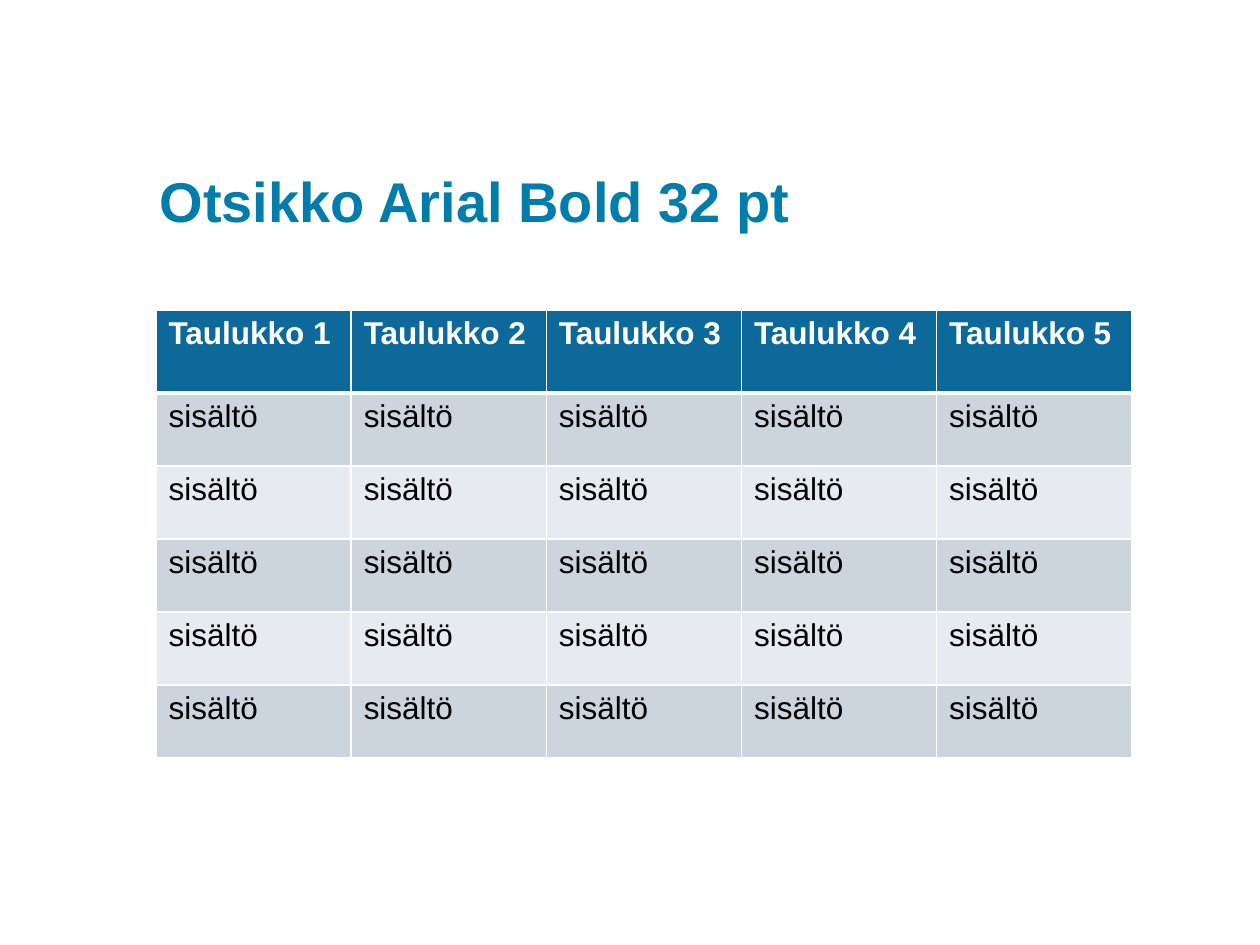
from dataclasses import dataclass

from lxml.etree import SubElement
from pptx import Presentation
from pptx.dml.color import RGBColor
from pptx.enum.text import MSO_ANCHOR, PP_ALIGN
from pptx.oxml.ns import qn
from pptx.slide import Slide
from pptx.table import _Cell
from pptx.text.text import TextFrame
from pptx.util import Emu, Pt

EMU_PER_PX = 914400 / 126


@dataclass(frozen=True)
class Theme:
    font: str = "Arial"
    title: str = "007DAA"
    header: str = "0D699A"
    bands: tuple[str, str] = ("CCD4DE", "E7EBEF")
    light: str = "FFFFFF"
    dark: str = "000000"
    title_size: int = 32
    cell_size: int = 18
    grid_width: int = 1
    header_rule_width: int = 3


@dataclass(frozen=True)
class Box:
    left: int
    top: int
    width: int
    height: int

    def emu(self) -> tuple[Emu, Emu, Emu, Emu]:
        return px(self.left), px(self.top), px(self.width), px(self.height)


@dataclass(frozen=True)
class RowStyle:
    height: int
    fill: str
    color: str
    bold: bool
    top_rule: int
    bottom_rule: int


THEME = Theme()
COLUMN_COUNT = 5
CONTENT_ROW_COUNT = 5
HEADER_HEIGHT = 83
CONTENT_HEIGHT = 73
TITLE_BOX = Box(147, 121, 1016, 158)
TABLE_BOX = Box(156, 310, 976, HEADER_HEIGHT + CONTENT_ROW_COUNT * CONTENT_HEIGHT)


def px(length: int) -> Emu:
    return Emu(round(length * EMU_PER_PX))


def write_text(frame: TextFrame, text: str, *, size: int, color: str, bold: bool) -> None:
    paragraph = frame.paragraphs[0]
    paragraph.alignment = PP_ALIGN.LEFT
    run = paragraph.add_run()
    run.text = text
    run.font.name = THEME.font
    run.font.size = Pt(size)
    run.font.bold = bold
    run.font.color.rgb = RGBColor.from_string(color)


def set_borders(cell: _Cell, top: int, bottom: int) -> None:
    """Rule all four edges; top and bottom widths are in points."""
    properties = cell._tc.get_or_add_tcPr()
    widths = {"lnL": THEME.grid_width, "lnR": THEME.grid_width, "lnT": top, "lnB": bottom}
    for edge, width in widths.items():
        line = SubElement(properties, qn(f"a:{edge}"), w=str(Pt(width)))
        fill = SubElement(line, qn("a:solidFill"))
        SubElement(fill, qn("a:srgbClr"), val=THEME.light)


def row_style(row_index: int) -> RowStyle:
    grid, rule = THEME.grid_width, THEME.header_rule_width
    if row_index == 0:
        return RowStyle(HEADER_HEIGHT, THEME.header, THEME.light, True, grid, rule)
    band = THEME.bands[(row_index - 1) % 2]
    top_rule = rule if row_index == 1 else grid
    return RowStyle(CONTENT_HEIGHT, band, THEME.dark, False, top_rule, grid)


def add_title(slide: Slide, text: str) -> None:
    title = slide.shapes.title
    title.left, title.top, title.width, title.height = TITLE_BOX.emu()
    title.text_frame.vertical_anchor = MSO_ANCHOR.MIDDLE
    write_text(title.text_frame, text, size=THEME.title_size, color=THEME.title, bold=True)


def add_content_table(slide: Slide, rows: list[list[str]]) -> None:
    table = slide.shapes.add_table(len(rows), COLUMN_COUNT, *TABLE_BOX.emu()).table
    for row_index, texts in enumerate(rows):
        style = row_style(row_index)
        table.rows[row_index].height = px(style.height)
        for column_index, text in enumerate(texts):
            cell = table.cell(row_index, column_index)
            set_borders(cell, style.top_rule, style.bottom_rule)
            cell.fill.solid()
            cell.fill.fore_color.rgb = RGBColor.from_string(style.fill)
            write_text(cell.text_frame, text, size=THEME.cell_size,
                       color=style.color, bold=style.bold)


def main() -> None:
    presentation = Presentation()
    presentation.slide_width, presentation.slide_height = px(1260), px(945)
    slide = presentation.slides.add_slide(presentation.slide_layouts.get_by_name("Title Only"))
    add_title(slide, "Otsikko Arial Bold 32 pt")
    headers = [f"Taulukko {number}" for number in range(1, COLUMN_COUNT + 1)]
    add_content_table(slide, [headers] + [["sisältö"] * COLUMN_COUNT] * CONTENT_ROW_COUNT)
    presentation.save("out.pptx")


if __name__ == "__main__":
    main()
